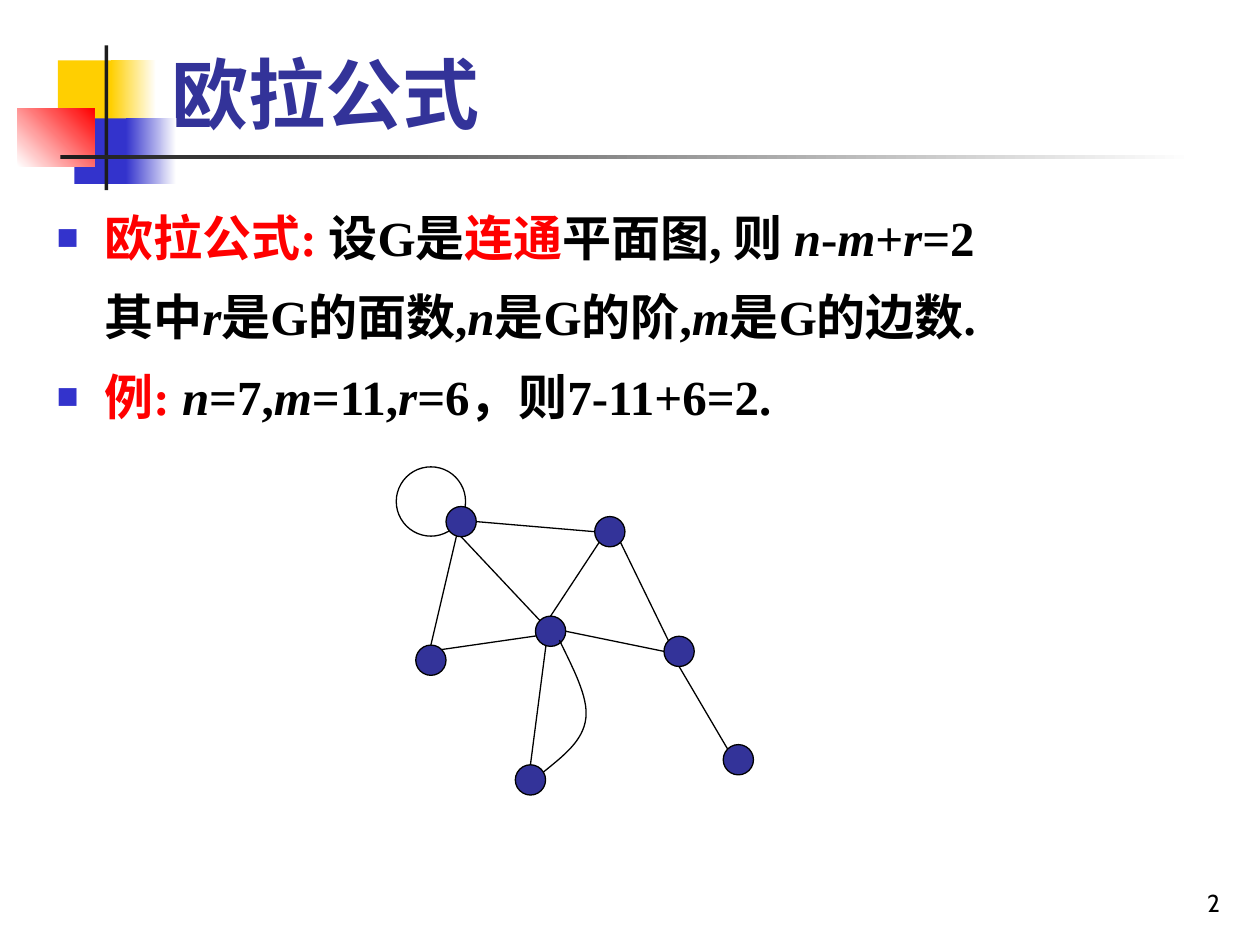
from dataclasses import dataclass
from math import cos, radians, sin

from lxml import etree
from pptx import Presentation
from pptx import util as u
from pptx.dml.color import RGBColor
from pptx.enum import shapes, text
from pptx.oxml import ns


@dataclass(frozen=True)
class Theme:
    navy: str = "333399"
    blue: str = "3333CC"
    red: str = "FF0000"
    yellow: str = "FFCF01"
    dark: str = "1C1C1C"
    black: str = "000000"
    white: str = "FFFFFF"
    heading_font: str = "Cabin"
    body_font: str = "Times New Roman"
    title_size: int = 44
    body_size: int = 28
    number_size: int = 14
    line_width: float = 0.75


THEME = Theme()
TITLE = "欧拉公式"
PAGE_NUMBER = "2"

# Runs are (text, style): "r" is red, "i" is italic.
BODY = [
    (True, [("欧拉公式: ", "r"), ("设G是", ""), ("连通", "r"), ("平面图, 则 ", ""),
            ("n", "i"), ("-", ""), ("m", "i"), ("+", ""), ("r", "i"), ("=2", "")]),
    (False, [("其中", ""), ("r", "i"), ("是G的面数,", ""), ("n", "i"),
             ("是G的阶,", ""), ("m", "i"), ("是G的边数.", "")]),
    (True, [("例: ", "r"), ("n", "i"), ("=7,", ""), ("m", "i"), ("=11,", ""),
            ("r", "i"), ("=6，则7-11+6=2.", "")]),
]

# Box, first colour, last colour, gradient angle
DECORATION = [
    ((0.46, 0.48, 0.48, 0.52), THEME.yellow, None, 0),
    ((0.88, 0.48, 0.36, 0.52), THEME.yellow, THEME.white, 0),
    ((0.59, 0.94, 0.46, 0.52), THEME.blue, None, 0),
    ((1.0, 0.94, 0.4, 0.52), THEME.blue, THEME.white, 0),
    ((0.14, 0.86, 0.61, 0.46), THEME.white, THEME.red, 45),
    ((0.83, 0.36, 0.03, 1.15), THEME.dark, None, 0),
    ((0.48, 1.23, 9, 0.03), THEME.dark, THEME.white, 0),
]

RADIUS = 0.12
LOOP = ((3.42, 3.98), 0.275)
NODES = {
    "hub": (4.37, 5.01), "bottom": (4.21, 6.19), "left": (3.42, 5.24),
    "right": (5.39, 5.17), "far": (5.86, 6.03), "top right": (4.84, 4.22),
    "top left": (3.66, 4.14),
}
# Each end is a node and the clockwise angle of its rim point.
EDGES = [
    ("top left", 108, "left", 270), ("top left", 0, "top right", 180),
    ("top right", 45, "right", 225), ("right", 90, "far", 225),
    ("top left", 90, "hub", 225), ("hub", 270, "top right", 135),
    ("left", 315, "hub", 162), ("hub", 0, "right", 180),
    ("hub", 108, "bottom", 270),
]
CURVE = [
    ((4.44, 5.08), (4.55, 5.31), (4.67, 5.53), (4.65, 5.7)),
    ((4.65, 5.7), (4.63, 5.88), (4.47, 6.0), (4.31, 6.13)),
]
CURVE_STEPS = 16


def color(value):
    return RGBColor.from_string(value)


def inches(values):
    return [u.Inches(value) for value in values]


def place(shape, box):
    shape.left, shape.top, shape.width, shape.height = inches(box)


def style_font(font, name, size, value, bold=False):
    font.name, font.size, font.bold = name, u.Pt(size), bold
    font.color.rgb = color(value)


def add_decoration(slide):
    for box, first, last, angle in DECORATION:
        shape = slide.shapes.add_shape(shapes.MSO_SHAPE.RECTANGLE, *inches(box))
        shape.shadow.inherit = False
        shape.line.fill.background()
        if last is None:
            shape.fill.solid()
            shape.fill.fore_color.rgb = color(first)
        else:
            shape.fill.gradient()
            shape.fill.gradient_angle = angle
            for stop, value in zip(shape.fill.gradient_stops, (first, last)):
                stop.color.rgb = color(value)


def add_title(slide):
    title = slide.shapes.title
    place(title, (1.26, 0.08, 8.52, 1.07))
    frame = title.text_frame
    frame.text = TITLE
    frame.auto_size = text.MSO_AUTO_SIZE.NONE
    frame.vertical_anchor = text.MSO_ANCHOR.BOTTOM
    paragraph = frame.paragraphs[0]
    paragraph.alignment = text.PP_ALIGN.LEFT
    style_font(paragraph.runs[0].font, THEME.heading_font, THEME.title_size,
               THEME.navy, bold=True)


def set_bullet(paragraph, bulleted):
    """Hang a square bullet, or start the text at the same indent without one."""
    properties = paragraph._p.get_or_add_pPr()
    indent = u.Inches(0.38)
    properties.set("marL", str(indent))
    properties.set("indent", str(-indent if bulleted else 0))
    if not bulleted:
        etree.SubElement(properties, ns.qn("a:buNone"))
        return
    bullet_color = etree.SubElement(properties, ns.qn("a:buClr"))
    etree.SubElement(bullet_color, ns.qn("a:srgbClr"), val=THEME.blue)
    etree.SubElement(properties, ns.qn("a:buSzPct"), val="75000")
    etree.SubElement(properties, ns.qn("a:buFont"), typeface="Arial")
    etree.SubElement(properties, ns.qn("a:buChar"), char="■")


def add_body(slide):
    body = slide.placeholders[1]
    place(body, (0.35, 1.55, 9.29, 5.75))
    frame = body.text_frame
    frame.auto_size = text.MSO_AUTO_SIZE.NONE
    for index, (bulleted, runs) in enumerate(BODY):
        paragraph = frame.add_paragraph() if index else frame.paragraphs[0]
        set_bullet(paragraph, bulleted)
        paragraph.line_spacing = 1.1
        paragraph.space_before = u.Pt(0.3 * THEME.body_size if index else 0)
        for content, style in runs:
            run = paragraph.add_run()
            run.text = content
            style_font(run.font, THEME.body_font, THEME.body_size,
                       THEME.red if style == "r" else THEME.black, bold=True)
            run.font.italic = style == "i"


def add_page_number(slide):
    frame = slide.shapes.add_textbox(*inches((7.7, 6.83, 2.08, 0.5))).text_frame
    frame.word_wrap = True
    frame.vertical_anchor = text.MSO_ANCHOR.BOTTOM
    frame.text = PAGE_NUMBER
    paragraph = frame.paragraphs[0]
    paragraph.alignment = text.PP_ALIGN.RIGHT
    style_font(paragraph.runs[0].font, THEME.heading_font, THEME.number_size,
               THEME.black)


def style_line(shape):
    shape.line.color.rgb = color(THEME.black)
    shape.line.width = u.Pt(THEME.line_width)


def add_circle(group, center, radius, fill=None):
    x, y = center
    circle = group.shapes.add_shape(
        shapes.MSO_SHAPE.OVAL,
        *inches((x - radius, y - radius, 2 * radius, 2 * radius)))
    circle.shadow.inherit = False
    style_line(circle)
    if fill:
        circle.fill.solid()
        circle.fill.fore_color.rgb = color(fill)
    else:
        circle.fill.background()


def rim_point(node, angle):
    x, y = NODES[node]
    return x + RADIUS * cos(radians(angle)), y + RADIUS * sin(radians(angle))


def bezier_point(points, t):
    weights = ((1 - t) ** 3, 3 * t * (1 - t) ** 2, 3 * t * t * (1 - t), t ** 3)
    return tuple(sum(w * point[axis] for w, point in zip(weights, points))
                 for axis in (0, 1))


def add_graph(slide):
    group = slide.shapes.add_group_shape()
    add_circle(group, *LOOP)
    for center in NODES.values():
        add_circle(group, center, RADIUS, THEME.navy)
    for start, start_angle, end, end_angle in EDGES:
        ends = rim_point(start, start_angle) + rim_point(end, end_angle)
        edge = group.shapes.add_connector(shapes.MSO_CONNECTOR.STRAIGHT, *inches(ends))
        style_line(edge)
        etree.SubElement(edge._element.spPr, ns.qn("a:effectLst"))
    points = [inches(bezier_point(part, step / CURVE_STEPS))
              for part in CURVE for step in range(CURVE_STEPS + 1)]
    builder = group.shapes.build_freeform(*points[0])
    builder.add_line_segments(points[1:], close=False)
    curve = builder.convert_to_shape()
    curve.shadow.inherit = False
    curve.fill.background()
    style_line(curve)


def main():
    presentation = Presentation()
    presentation.slide_width, presentation.slide_height = inches((10, 7.5))
    slide = presentation.slides.add_slide(presentation.slide_layouts[1])
    add_decoration(slide)
    add_title(slide)
    add_body(slide)
    add_page_number(slide)
    add_graph(slide)
    presentation.save("out.pptx")


if __name__ == "__main__":
    main()
